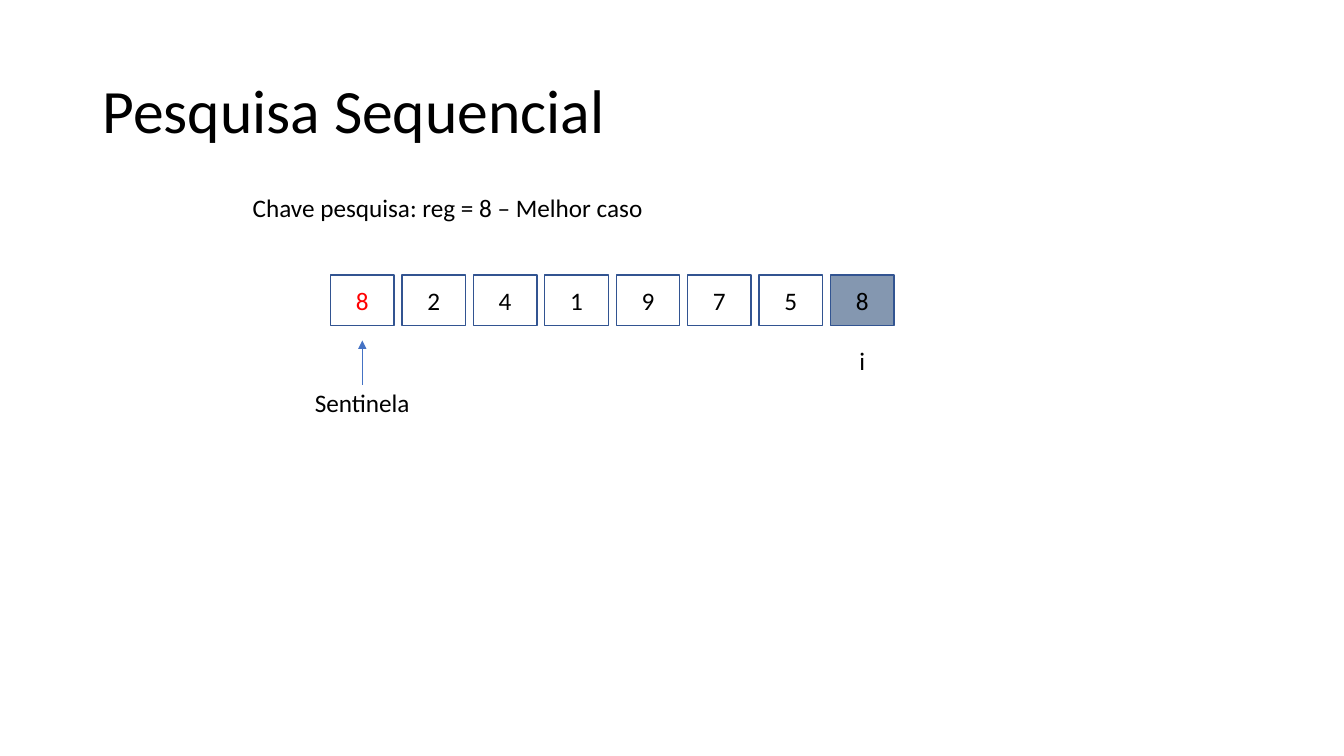
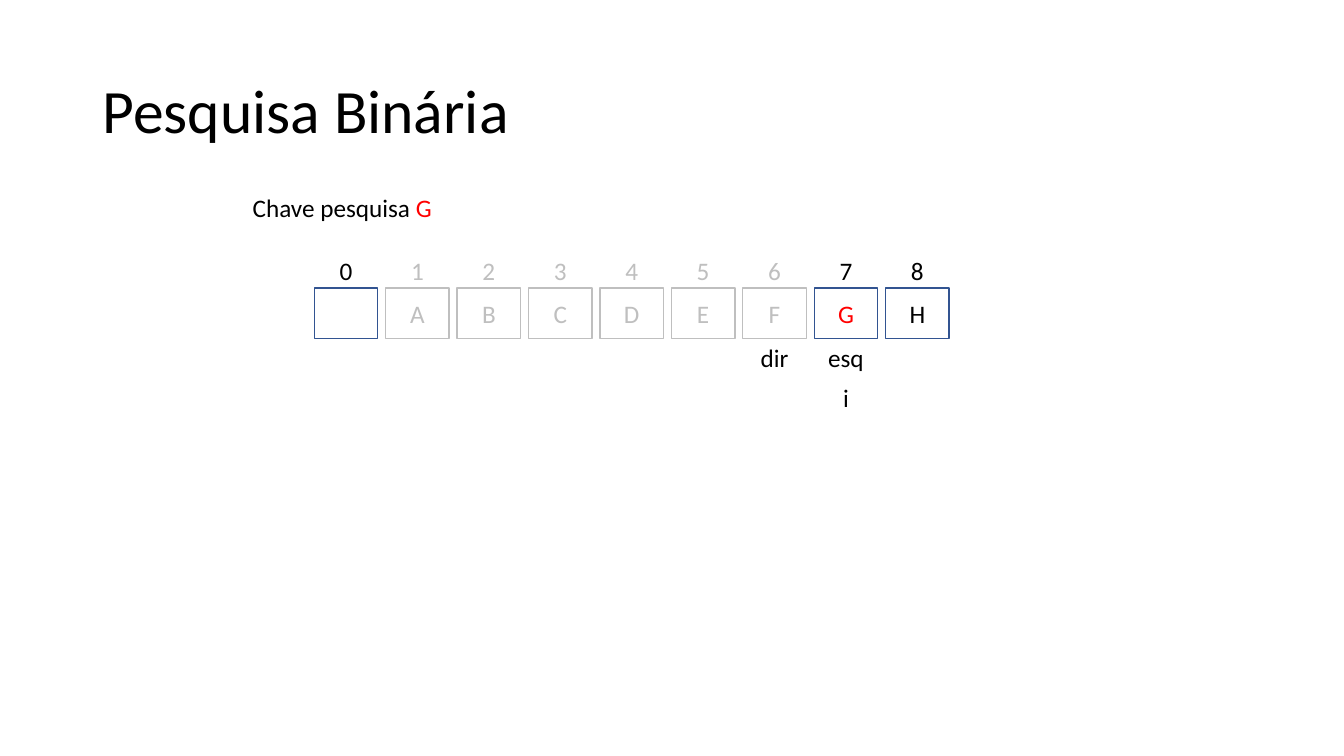
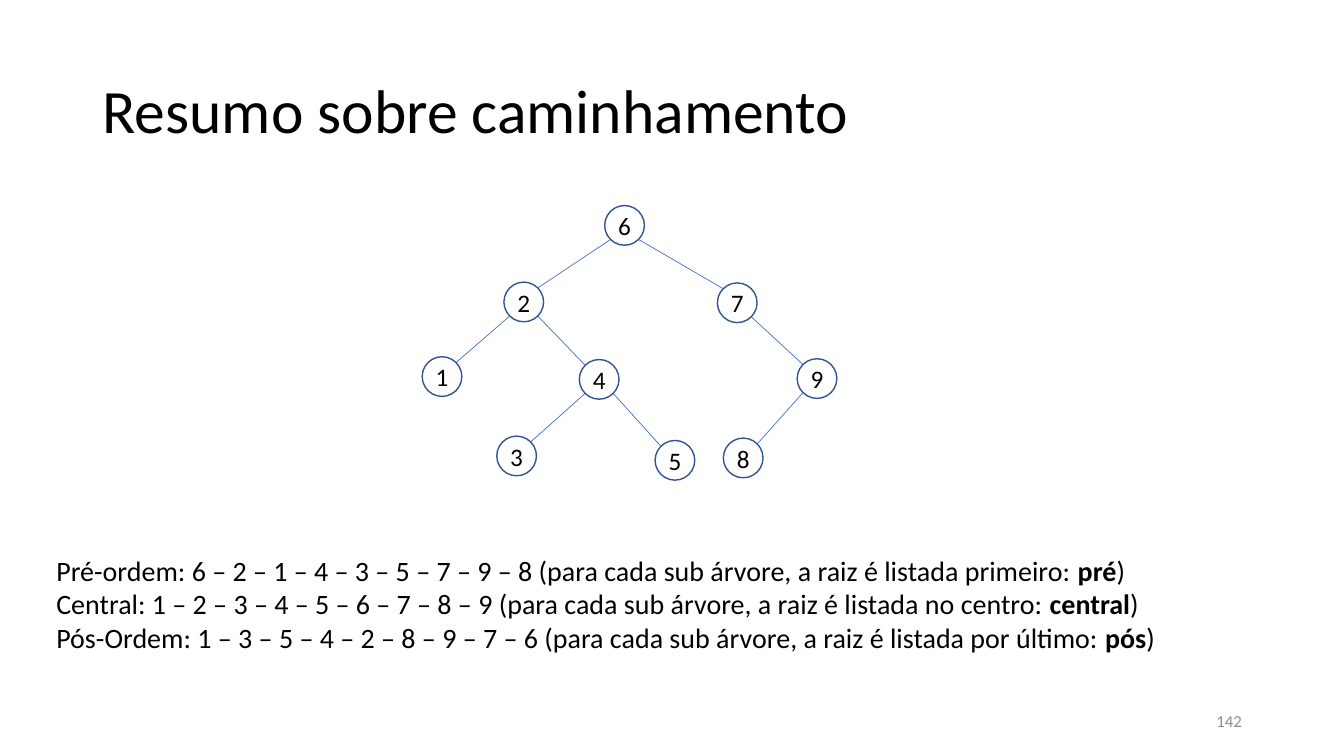
from dataclasses import dataclass

import lxml.etree
import pptx
import pptx.dml.color
import pptx.enum.shapes
import pptx.enum.text
import pptx.oxml.ns
import pptx.util

Cm = pptx.util.Cm
Pt = pptx.util.Pt
ALIGN = pptx.enum.text.PP_ALIGN
ANCHOR = pptx.enum.text.MSO_ANCHOR
SHAPE = pptx.enum.shapes.MSO_SHAPE


@dataclass(frozen=True)
class Theme:
    font: str = "Calibri"
    text: str = "000000"
    found: str = "FF0000"
    faded: str = "BFBFBF"
    outline: str = "325491"
    link: str = "4472C4"
    current: str = "8497B0"
    number: str = "8C8C8C"
    title_size: int = 44
    summary_size: int = 20
    body_size: int = 18
    number_size: int = 12


THEME = Theme()

# Measures in centimetres
CELL_W, CELL_H, CELL_PITCH = 1.6, 1.27, 1.8
LABEL_H = 1.02
NODE_SIZE = 1.0


def rgb(value):
    return pptx.dml.color.RGBColor.from_string(value)


# Shared parts
def add_run(p, text, size=THEME.body_size, color=THEME.text, bold=False):
    r = p.add_run()
    r.text = text
    r.font.name = THEME.font
    r.font.size = Pt(size)
    r.font.bold = bold
    r.font.color.rgb = rgb(color)


def add_text(s, x, y, w, h=LABEL_H, align=ALIGN.LEFT, anchor=ANCHOR.TOP):
    """Add an empty text box and return its first paragraph."""
    tf = s.shapes.add_textbox(Cm(x), Cm(y), Cm(w), Cm(h)).text_frame
    tf.word_wrap = True
    tf.vertical_anchor = anchor
    p = tf.paragraphs[0]
    p.alignment = align
    return p


def add_box(s, kind, x, y, w, h, text, color=THEME.text,
            line=THEME.outline, fill=None):
    sp = s.shapes.add_shape(kind, Cm(x), Cm(y), Cm(w), Cm(h))
    sp.shadow.inherit = False
    if fill:
        sp.fill.solid()
        sp.fill.fore_color.rgb = rgb(fill)
    else:
        sp.fill.background()
    sp.line.color.rgb = rgb(line)
    sp.line.width = Pt(1)
    tf = sp.text_frame
    tf.margin_left = tf.margin_right = tf.margin_top = tf.margin_bottom = 0
    tf.vertical_anchor = ANCHOR.MIDDLE
    if text:
        p = tf.paragraphs[0]
        p.alignment = ALIGN.CENTER
        add_run(p, text, color=color)


def add_line(s, x1, y1, x2, y2, arrow=False):
    cxn = s.shapes.add_connector(pptx.enum.shapes.MSO_CONNECTOR.STRAIGHT,
                                 Cm(x1), Cm(y1), Cm(x2), Cm(y2))
    cxn.line.color.rgb = rgb(THEME.link)
    cxn.line.width = Pt(0.5)
    qn = pptx.oxml.ns.qn
    if arrow:
        ln = cxn.line._get_or_add_ln()
        lxml.etree.SubElement(ln, qn("a:tailEnd"), type="triangle")
    lxml.etree.SubElement(cxn._element.spPr, qn("a:effectLst"))


def add_slide(prs, title):
    s = prs.slides.add_slide(prs.slide_layouts[5])
    sp = s.shapes.title
    sp.left, sp.top, sp.width, sp.height = Cm(2.33), Cm(1.02), Cm(29.21), Cm(3.68)
    sp.text_frame.vertical_anchor = ANCHOR.MIDDLE
    p = sp.text_frame.paragraphs[0]
    p.alignment = ALIGN.LEFT
    p.line_spacing = 0.9
    add_run(p, title, THEME.title_size)
    return s


# Array regions
def add_search_key(s, *runs):
    p = add_text(s, 6.12, 4.72, 14)
    for text, color in runs:
        add_run(p, text, color=color)


def add_cells(s, x, y, cells):
    """Draw a row of cells, each given as its text and box colours."""
    for i, (text, style) in enumerate(cells):
        add_box(s, SHAPE.RECTANGLE, x + i * CELL_PITCH, y, CELL_W, CELL_H,
                text, **style)


def add_cell_label(s, x, y, index, dy, text, color=THEME.text, w=CELL_PITCH):
    """Centre a label on a cell of the row at x, y, dy below the row's top."""
    center = x + index * CELL_PITCH + CELL_W / 2
    p = add_text(s, center - w / 2, y + dy, w, align=ALIGN.CENTER)
    add_run(p, text, color=color)


# Tree regions
def add_tree(s, x, y, nodes, edges):
    """Draw nodes by centre, and edges between their diagonal points."""
    reach = NODE_SIZE / 2 * 0.71
    for parent, child in edges:
        (px, py), (cx, cy) = nodes[parent], nodes[child]
        dx = reach if cx > px else -reach
        add_line(s, x + px + dx, y + py + reach, x + cx - dx, y + cy - reach)
    for key, (cx, cy) in nodes.items():
        add_box(s, SHAPE.OVAL, x + cx - NODE_SIZE / 2, y + cy - NODE_SIZE / 2,
                NODE_SIZE, NODE_SIZE, str(key))


def add_summary(s, x, y, w, h, orders):
    first = add_text(s, x, y, w, h)
    tf = s.shapes[-1].text_frame
    for i, (name, keys, place, term) in enumerate(orders):
        p = tf.add_paragraph() if i else first
        sequence = " – ".join(keys)
        add_run(p, f"{name}: {sequence} (para cada sub árvore, "
                   f"a raiz é listada {place}: ", THEME.summary_size)
        add_run(p, term, THEME.summary_size, bold=True)
        add_run(p, ")", THEME.summary_size)


def add_slide_number(s, number):
    p = add_text(s, 23.93, 17.65, 7.62, align=ALIGN.RIGHT, anchor=ANCHOR.MIDDLE)
    add_run(p, number, THEME.number_size, THEME.number)


# Slides
def sequential_search(prs):
    s = add_slide(prs, "Pesquisa Sequencial")
    add_search_key(s, ("Chave pesquisa: reg = 8 – Melhor caso", THEME.text))
    x, y = 8.33, 6.93
    cells = [("8", {"color": THEME.found})]
    cells += [(value, {}) for value in "241975"]
    cells += [("8", {"fill": THEME.current})]
    add_cells(s, x, y, cells)
    add_cell_label(s, x, y, 7, 1.65, "i")
    # Sentinel pointer
    center = x + CELL_W / 2
    add_line(s, center, y + 2.77, center, y + 1.65, arrow=True)
    add_cell_label(s, x, y, 0, 2.7, "Sentinela", w=3.4)


def binary_search(prs):
    s = add_slide(prs, "Pesquisa Binária")
    add_search_key(s, ("Chave pesquisa ", THEME.text), ("G", THEME.found))
    x, y = 7.92, 7.26
    faded = {"color": THEME.faded, "line": THEME.faded}
    cells = [("", {})] + [(letter, faded) for letter in "ABCDEF"]
    cells += [("G", {"color": THEME.found}), ("H", {})]
    add_cells(s, x, y, cells)
    for i, (_, style) in enumerate(cells):
        color = THEME.faded if style is faded else THEME.text
        add_cell_label(s, x, y, i, -0.94, str(i), color)
    # Search limits
    for index, dy, name in ((6, 1.25, "dir"), (7, 1.25, "esq"), (7, 2.24, "i")):
        add_cell_label(s, x, y, index, dy, name)


def traversal_summary(prs):
    s = add_slide(prs, "Resumo sobre caminhamento")
    nodes = {6: (5.1, 0.5),
             2: (2.56, 2.43), 7: (7.94, 2.45),
             1: (0.5, 4.31), 4: (4.46, 4.38), 9: (9.95, 4.36),
             3: (2.38, 6.31), 5: (6.37, 6.42), 8: (8.09, 6.36)}
    edges = [(6, 2), (6, 7), (2, 1), (2, 4), (4, 3), (4, 5), (7, 9), (9, 8)]
    add_tree(s, 10.64, 5.18, nodes, edges)
    add_summary(s, 1.17, 13.82, 30, 2.82, [
        ("Pré-ordem", "621435798", "primeiro", "pré"),
        ("Central", "123456789", "no centro", "central"),
        ("Pós-Ordem", "135428976", "por último", "pós"),
    ])
    add_slide_number(s, "142")


def main():
    prs = pptx.Presentation()
    prs.slide_width, prs.slide_height = Cm(33.87), Cm(19.05)
    sequential_search(prs)
    binary_search(prs)
    traversal_summary(prs)
    prs.save("out.pptx")


if __name__ == "__main__":
    main()
